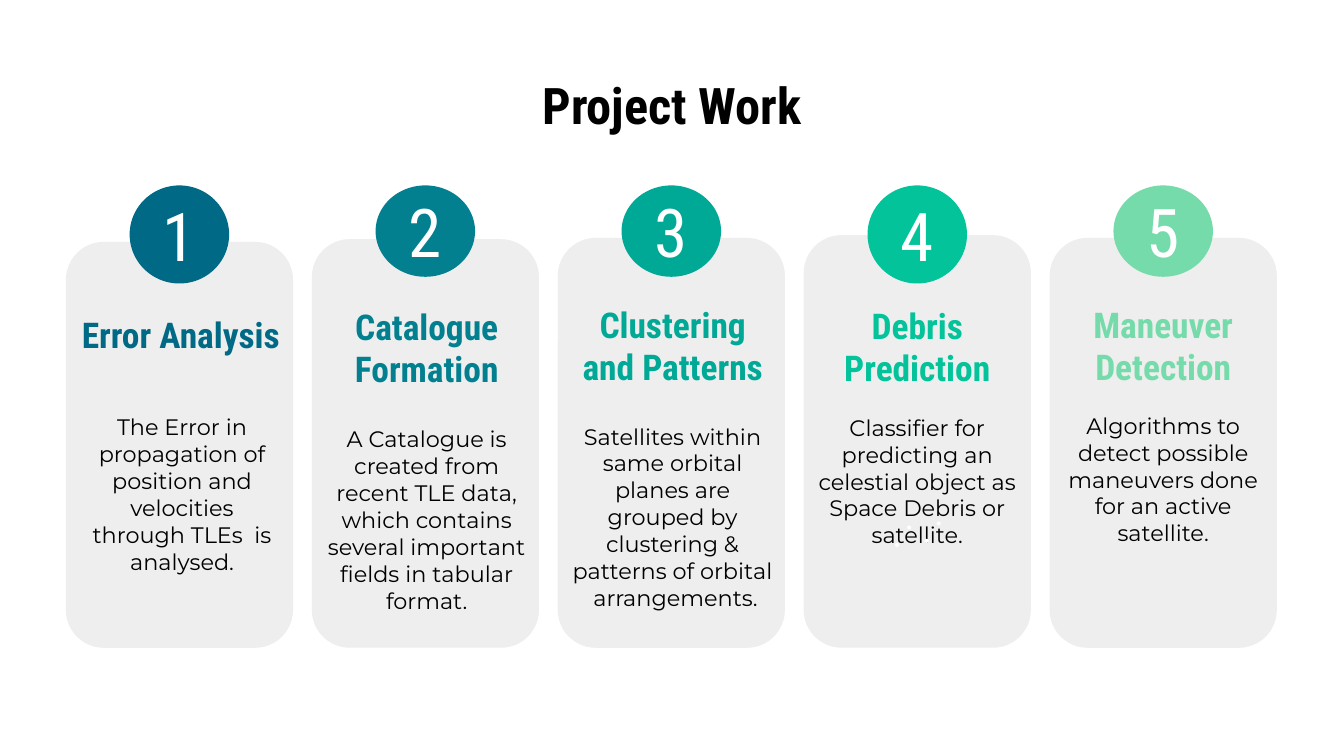
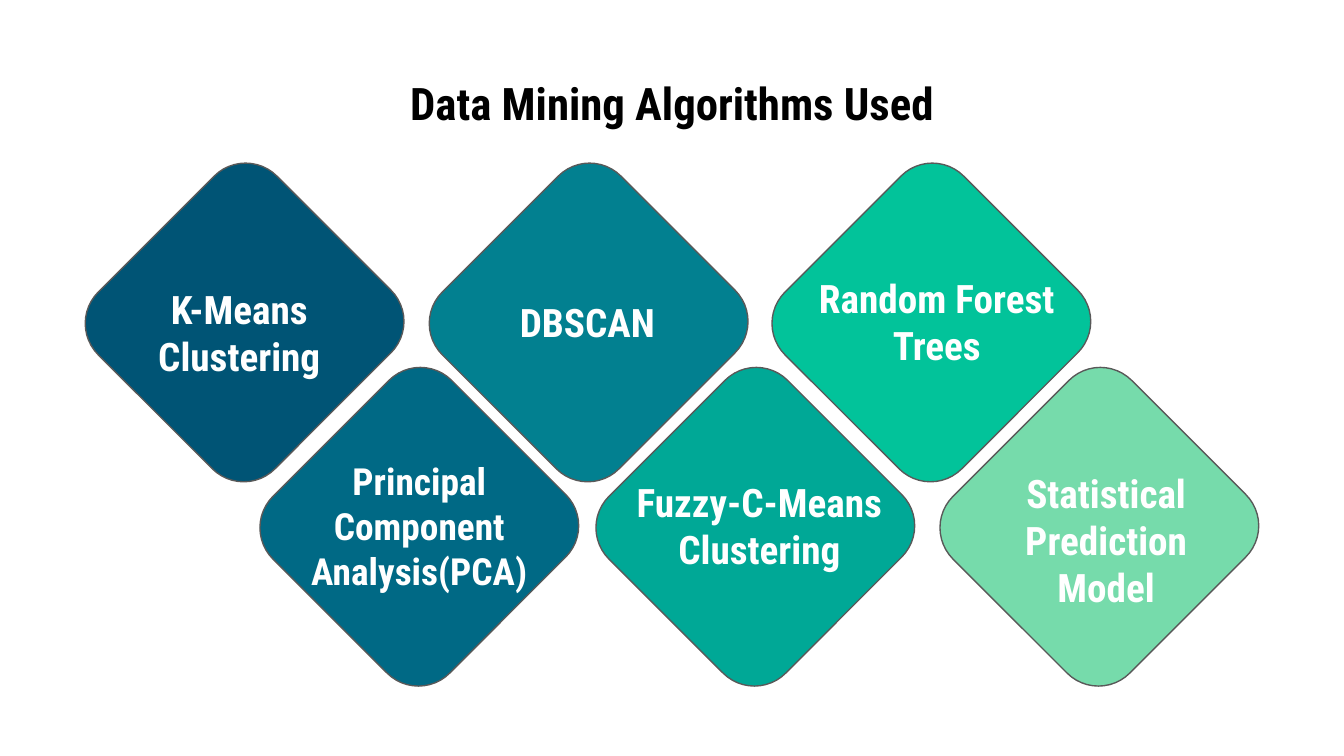
from pptx import Presentation
from pptx.dml.color import RGBColor
from pptx.enum.shapes import MSO_SHAPE
from pptx.enum.text import MSO_ANCHOR, MSO_AUTO_SIZE, PP_ALIGN
from pptx.util import Inches, Pt

COLORS = {
    "navy": "005475", "blue": "006985", "teal": "028090", "sea": "00A896",
    "green": "02C39A", "mint": "76DBAB",
    "card": "EEEEEE", "outline": "595959", "black": "000000", "white": "FFFFFF",
}
HEADING_FONT, BODY_FONT = "Roboto Condensed", "Montserrat"

# Heading, description, colour, card top, circle height,
# then (left offset, top, height) of the heading and of the description
STEPS = [
    ("Error Analysis",
     "The Error in propagation of position and velocities through TLEs  is analysed.",
     "blue", 1.8, 0.73, (0.01, 2.21, 0.55), (0.02, 3.44, 0.47)),
    ("Catalogue Formation",
     "A Catalogue is created from recent TLE data, which contains several "
     "important fields in tabular format.",
     "teal", 1.78, 0.68, (0.01, 2.33, 0.51), (0.01, 3.17, 1.39)),
    ("Clustering and Patterns",
     "Satellites within same orbital planes are grouped by clustering & "
     "patterns of orbital  arrangements.",
     "sea", 1.77, 0.68, (0.01, 2.23, 0.68), (0.01, 3.14, 1.41)),
    ("Debris Prediction",
     "Classifier for predicting an celestial object as Space Debris or satellite.",
     "green", 1.75, 0.73, (0, 2.3, 0.55), (0, 2.61, 1.94)),
    ("Maneuver Detection",
     "Algorithms to detect possible maneuvers done for an active satellite.",
     "mint", 1.77, 0.68, (0, 2.23, 0.68), (0, 3.35, 0.43)),
]
DEBRIS_DOTS = [(6.75, 3.91), (6.66, 4.04), (6.88, 4.01), (6.97, 3.88)]

# Label, colour, diamond left, text size, label box
ALGORITHMS = [
    ("K-Means Clustering", "navy", 0.89, 21, (0.74, 2.02, 2.08, 0.91)),
    ("Principal Component Analysis(PCA)", "blue", 2.19, 20, (2.08, 3.31, 2.08, 1.21)),
    ("DBSCAN", "teal", 3.45, 21, (3.33, 2.12, 2.08, 0.56)),
    ("Fuzzy-C-Means Clustering", "sea", 4.69, 21, (4.61, 3.46, 2.08, 0.91)),
    ("Random Forest Trees", "green", 6, 21, (5.93, 1.94, 2.08, 0.91)),
    ("Statistical Prediction Model", "mint", 7.25, 21, (7.19, 3.39, 2.08, 1.26)),
]

CARD_LEFT, CARD_PITCH, CARD_WIDTH, CARD_BOTTOM = 0.49, 1.83, 1.69, 4.82
CIRCLE_TOP, CIRCLE_WIDTH = 1.38, 0.74
NUMBER_TOP, NUMBER_WIDTH = 1.47, 0.45
ROW_TOPS = (1.46, 2.98)


def rgb(color):
    return RGBColor.from_string(COLORS[color])


def write(shape, text, size, color, font=HEADING_FONT, bold=False,
          anchor=MSO_ANCHOR.MIDDLE, inset=0.05):
    frame = shape.text_frame
    frame.text = text
    frame.word_wrap = True
    frame.auto_size = MSO_AUTO_SIZE.NONE
    frame.vertical_anchor = anchor
    frame.margin_left = frame.margin_right = Inches(0.1)
    frame.margin_top = frame.margin_bottom = Inches(inset)
    paragraph = frame.paragraphs[0]
    paragraph.alignment = PP_ALIGN.CENTER
    paragraph.font.name = font
    paragraph.font.size = Pt(size)
    paragraph.font.bold = bold
    paragraph.font.color.rgb = rgb(color)


def add_label(slide, box, *text_args, **style):
    write(slide.shapes.add_textbox(*map(Inches, box)), *text_args, **style)


def add_block(slide, kind, box, color, corner=None, outline=None):
    block = slide.shapes.add_shape(kind, *map(Inches, box))
    block.shadow.inherit = False
    block.fill.solid()
    block.fill.fore_color.rgb = rgb(color)
    if corner is not None:
        block.adjustments[0] = corner
    if outline:
        block.line.color.rgb = rgb(outline)
        block.line.width = Pt(0.75)
    else:
        block.line.fill.background()
    return block


def add_titled_slide(prs, title, size, anchor):
    slide = prs.slides.add_slide(prs.slide_layouts[5])
    heading = slide.shapes.title
    heading.left, heading.top = Inches(0.5), Inches(0.45)
    heading.width, heading.height = Inches(9), Inches(0.63)
    write(heading, title, size, "black", bold=True, anchor=anchor, inset=0.1)
    return slide


def build_project_work(prs):
    slide = add_titled_slide(prs, "Project Work", 27, MSO_ANCHOR.TOP)
    for index, step in enumerate(STEPS):
        heading, description, color, top, circle_height, heading_at, description_at = step
        left = CARD_LEFT + index * CARD_PITCH
        center = left + CARD_WIDTH / 2

        # Card with its numbered circle
        add_block(slide, MSO_SHAPE.ROUNDED_RECTANGLE,
                  (left, top, CARD_WIDTH, CARD_BOTTOM - top), "card", corner=0.167)
        add_block(slide, MSO_SHAPE.OVAL,
                  (center - CIRCLE_WIDTH / 2, CIRCLE_TOP, CIRCLE_WIDTH, circle_height),
                  color)
        number_height = circle_height - 2 * (NUMBER_TOP - CIRCLE_TOP)
        add_label(slide,
                  (center - NUMBER_WIDTH / 2, NUMBER_TOP, NUMBER_WIDTH, number_height),
                  str(index + 1), 36, "white")

        # Heading and description
        for (offset, y, height), text, size, text_color, font, bold in (
                (heading_at, heading, 19, color, HEADING_FONT, True),
                (description_at, description, 12, "black", BODY_FONT, False)):
            add_label(slide, (left + offset, y, CARD_WIDTH, height),
                      text, size, text_color, font=font, bold=bold)

    # Specks of debris on the fourth card
    for x, y in DEBRIS_DOTS:
        add_block(slide, MSO_SHAPE.OVAL, (x, y, 0.03, 0.03), "white")


def build_algorithms(prs):
    slide = add_titled_slide(prs, "Data Mining Algorithms Used", 24, MSO_ANCHOR.MIDDLE)
    # Diamonds alternate between the upper and the lower row
    for index, (_, color, left, _, _) in enumerate(ALGORITHMS):
        diamond = add_block(slide, MSO_SHAPE.ROUNDED_RECTANGLE,
                            (left, ROW_TOPS[index % 2], 1.86, 1.88),
                            color, corner=0.177, outline="outline")
        diamond.rotation = 45
    # Labels lie above all diamonds
    for label, _, _, size, box in ALGORITHMS:
        add_label(slide, box, label, size, "white", bold=True,
                  anchor=MSO_ANCHOR.TOP, inset=0.1)


def main():
    prs = Presentation()
    # Widescreen, 16:9
    prs.slide_width = Inches(10)
    prs.slide_height = Inches(10 * 9 / 16)
    build_project_work(prs)
    build_algorithms(prs)
    prs.save("out.pptx")


if __name__ == "__main__":
    main()
